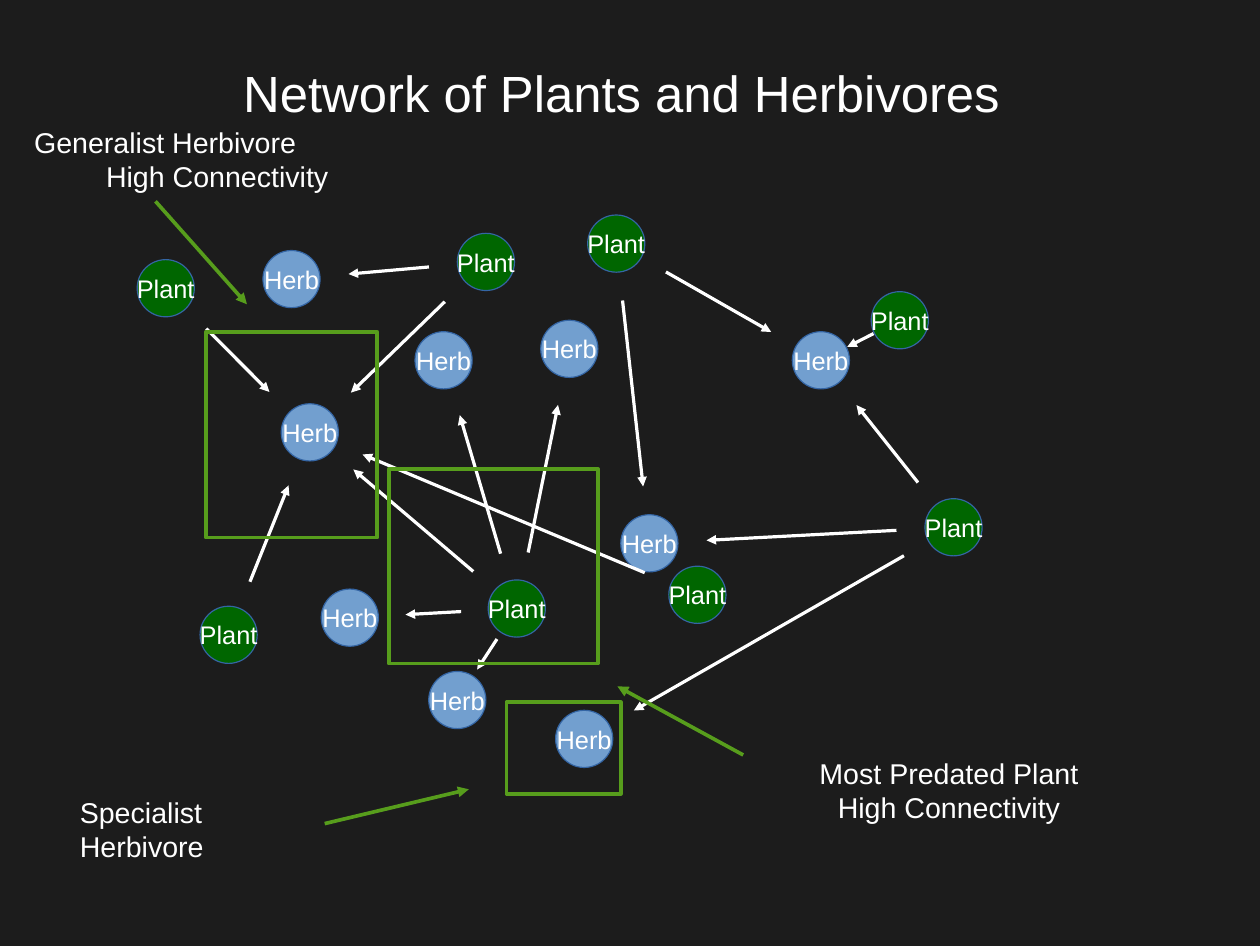
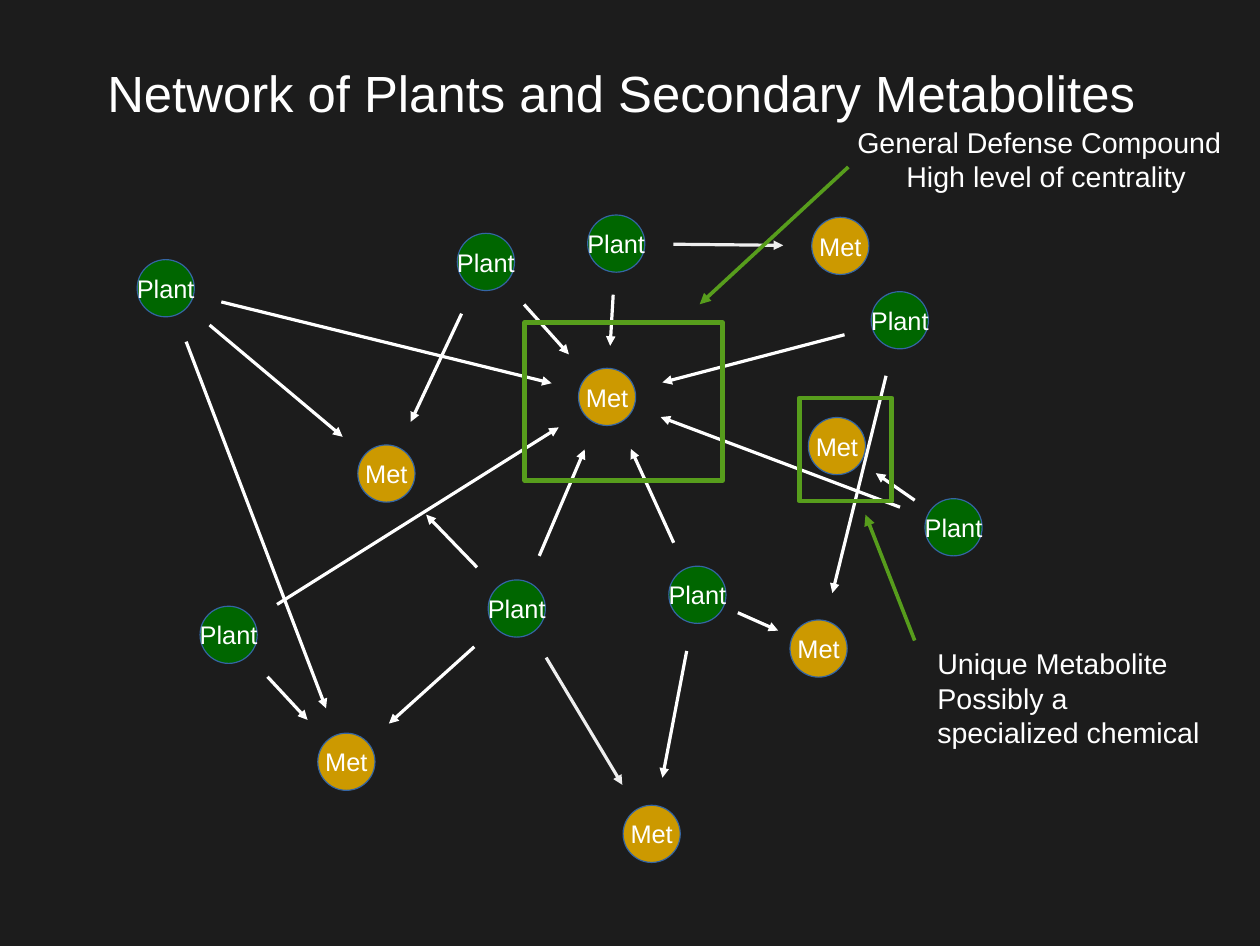
import math

import pptx
import pptx.util
import pptx.dml.color
import pptx.enum.shapes
import pptx.enum.text
import pptx.oxml.ns
import lxml.etree

RGBColor = pptx.dml.color.RGBColor
Pt = pptx.util.Pt
ALIGN = pptx.enum.text.PP_ALIGN
ANCHOR = pptx.enum.text.MSO_ANCHOR
SHAPE = pptx.enum.shapes.MSO_SHAPE
STRAIGHT = pptx.enum.shapes.MSO_CONNECTOR.STRAIGHT
qn = pptx.oxml.ns.qn

# Shared look
BACKGROUND = RGBColor.from_string("1C1C1C")
WHITE = RGBColor.from_string("FFFFFF")
PALE = RGBColor.from_string("EEEEEE")
PLANT_GREEN = RGBColor.from_string("006600")
HERB_BLUE = RGBColor.from_string("729FCF")
MET_GOLD = RGBColor.from_string("CC9900")
OUTLINE = RGBColor.from_string("3465A4")
HIGHLIGHT = RGBColor.from_string("579D1C")
HAIRLINE = Pt(0)
ARROW_WIDTH = Pt(2.3)
GRID_CM = 2.54  # one grid unit, in centimetres
NODE_SIZE = 0.5
LINK_GAP = 0.5  # from a node's centre to the end of its link

TITLE_FONT = {"name": "Arial", "size": Pt(32)}
CALLOUT_FONT = {"name": "Arial", "size": Pt(18)}
NODE_FONT = {"name": "Arial", "size": Pt(16)}
TITLE_FRAME = {"word_wrap": True, "vertical_anchor": ANCHOR.MIDDLE, "margin_left": 0,
               "margin_top": 0, "margin_right": 0, "margin_bottom": 0}
CALLOUT_FRAME = {"word_wrap": True, "vertical_anchor": ANCHOR.TOP}
NODE_FRAME = {"word_wrap": False, "vertical_anchor": ANCHOR.MIDDLE}

# The plants stand in the same places on both slides
PLANTS = {"A": (1.2, 2.27), "B": (4.27, 5.07), "C": (1.75, 5.3), "D": (7.62, 2.55),
          "E": (8.09, 4.36), "F": (4, 2.04), "G": (5.85, 4.95), "H": (5.14, 1.88)}

# Each link names a plant (capital) and the partner it leads to
NETWORKS = [
    {
        "title": "Network of Plants and Herbivores",
        "partner": ("Herb", HERB_BLUE),
        "partners": {"a": (3.63, 2.9), "b": (6.93, 2.9), "c": (5.43, 4.5),
                     "d": (4.73, 2.8), "e": (2.81, 5.15), "f": (2.46, 3.53),
                     "g": (3.75, 5.87), "h": (4.86, 6.21), "i": (2.3, 2.19)},
        "links": "Ba Bf Bd Cf Af Ff Gf Eh Ec Hc Hb Eb Db Be Bg Fi",
        "pale_links": "",
        "box_width": Pt(2.3),
        "boxes": [(3.4, 4.1, 1.83, 1.7), (1.8, 2.9, 1.5, 1.8), (4.43, 6.14, 1, 0.8)],
        "arrows": [(6.5, 6.6, 5.4, 6), (1.36, 1.76, 2.16, 2.66), (2.84, 7.2, 4.1, 6.9)],
        "callouts": [
            ((6.7, 6.56, 3.2, 0.94), [("Most Predated Plant", ALIGN.CENTER),
                                      ("High Connectivity", ALIGN.CENTER)]),
            ((0.2, 1.04, 3.4, 0.66), [("Generalist Herbivore", ALIGN.LEFT),
                                      ("High Connectivity", ALIGN.CENTER)]),
            ((0.6, 6.9, 2, 0.66), [("Specialist Herbivore", ALIGN.LEFT)])],
    },
    {
        "title": "Network of Plants and Secondary Metabolites",
        "partner": ("Met", MET_GOLD),
        "partners": {"a": (6.91, 5.42), "b": (5.06, 3.22), "c": (2.78, 6.41),
                     "d": (7.07, 3.65), "e": (3.13, 3.89), "f": (5.45, 7.04),
                     "g": (7.1, 1.9)},
        "links": "Ab Cb Fb Hb Db Bb Gb Eb Cc Fe Bc Be Da Gf Ga Ae Ac Ed",
        "pale_links": "Bf Hg",
        "box_width": Pt(3),
        "boxes": [(4.59, 2.82, 1.73, 1.38), (6.99, 3.48, 0.81, 0.9)],
        "arrows": [(7.42, 1.46, 6.12, 2.66), (8, 5.6, 7.57, 4.5)],
        "callouts": [
            ((7.4, 1.04, 3.5, 0.66), [("General Defense Compound", ALIGN.LEFT),
                                      ("High level of centrality", ALIGN.CENTER)]),
            ((8.1, 5.6, 2.6, 1.2), [("Unique Metabolite", ALIGN.LEFT),
                                    ("Possibly a specialized chemical", ALIGN.LEFT)])],
    },
]


def on_grid(*values):
    return [pptx.util.Cm(GRID_CM * value) for value in values]


def write(shape, lines, frame_format, font_format):
    frame = shape.text_frame
    for name, value in frame_format.items():
        setattr(frame, name, value)
    for index, (text, alignment) in enumerate(lines):
        para = frame.add_paragraph() if index else frame.paragraphs[0]
        para.alignment = alignment
        span = para.add_run()
        span.text = text
        span.font.color.rgb = WHITE
        for name, value in font_format.items():
            setattr(span.font, name, value)


deck = pptx.Presentation()
deck.slide_width, deck.slide_height = on_grid(11.02, 8.27)
master_fill = deck.slide_master.background.fill
master_fill.solid()
master_fill.fore_color.rgb = BACKGROUND

for network in NETWORKS:
    page = deck.slides.add_slide(deck.slide_layouts[6])

    # Title
    title = page.shapes.add_textbox(*on_grid(0.48, 0.12, 9.92, 1.38))
    write(title, [(network["title"], ALIGN.CENTER)], TITLE_FRAME, TITLE_FONT)

    # Nodes
    partner_name, partner_color = network["partner"]
    for label, color, places in [("Plant", PLANT_GREEN, PLANTS),
                                 (partner_name, partner_color, network["partners"])]:
        for x, y in places.values():
            node = page.shapes.add_shape(SHAPE.OVAL, *on_grid(x, y, NODE_SIZE, NODE_SIZE))
            node.shadow.inherit = False
            node.fill.solid()
            node.fill.fore_color.rgb = color
            node.line.color.rgb = OUTLINE
            node.line.width = HAIRLINE
            write(node, [(label, ALIGN.CENTER)], NODE_FRAME, NODE_FONT)

    # Links run from centre to centre and stop short of both nodes
    lines_to_draw = []
    for key, color in [("links", WHITE), ("pale_links", PALE)]:
        for plant, partner in network[key].split():
            x1, y1 = [value + NODE_SIZE / 2 for value in PLANTS[plant]]
            x2, y2 = [value + NODE_SIZE / 2 for value in network["partners"][partner]]
            length = math.hypot(x2 - x1, y2 - y1)
            share = min(LINK_GAP / length, 1 / 3)
            dx, dy = share * (x2 - x1), share * (y2 - y1)
            lines_to_draw.append(((x1 + dx, y1 + dy, x2 - dx, y2 - dy), color, HAIRLINE))

    # Arrows point from the callouts to the boxes
    for ends in network["arrows"]:
        lines_to_draw.append((ends, HIGHLIGHT, ARROW_WIDTH))

    for ends, color, width in lines_to_draw:
        arrow = page.shapes.add_connector(STRAIGHT, *on_grid(*ends))
        arrow.line.color.rgb = color
        arrow.line.width = width
        properties = arrow.element.spPr
        lxml.etree.SubElement(properties.find(qn("a:ln")), qn("a:tailEnd"), type="triangle")
        lxml.etree.SubElement(properties, qn("a:effectLst"))

    # Highlight boxes
    for place in network["boxes"]:
        box = page.shapes.add_shape(SHAPE.RECTANGLE, *on_grid(*place))
        box.shadow.inherit = False
        box.fill.background()
        box.line.color.rgb = HIGHLIGHT
        box.line.width = network["box_width"]

    # Callouts
    for place, lines in network["callouts"]:
        callout = page.shapes.add_textbox(*on_grid(*place))
        write(callout, lines, CALLOUT_FRAME, CALLOUT_FONT)

deck.save("out.pptx")
